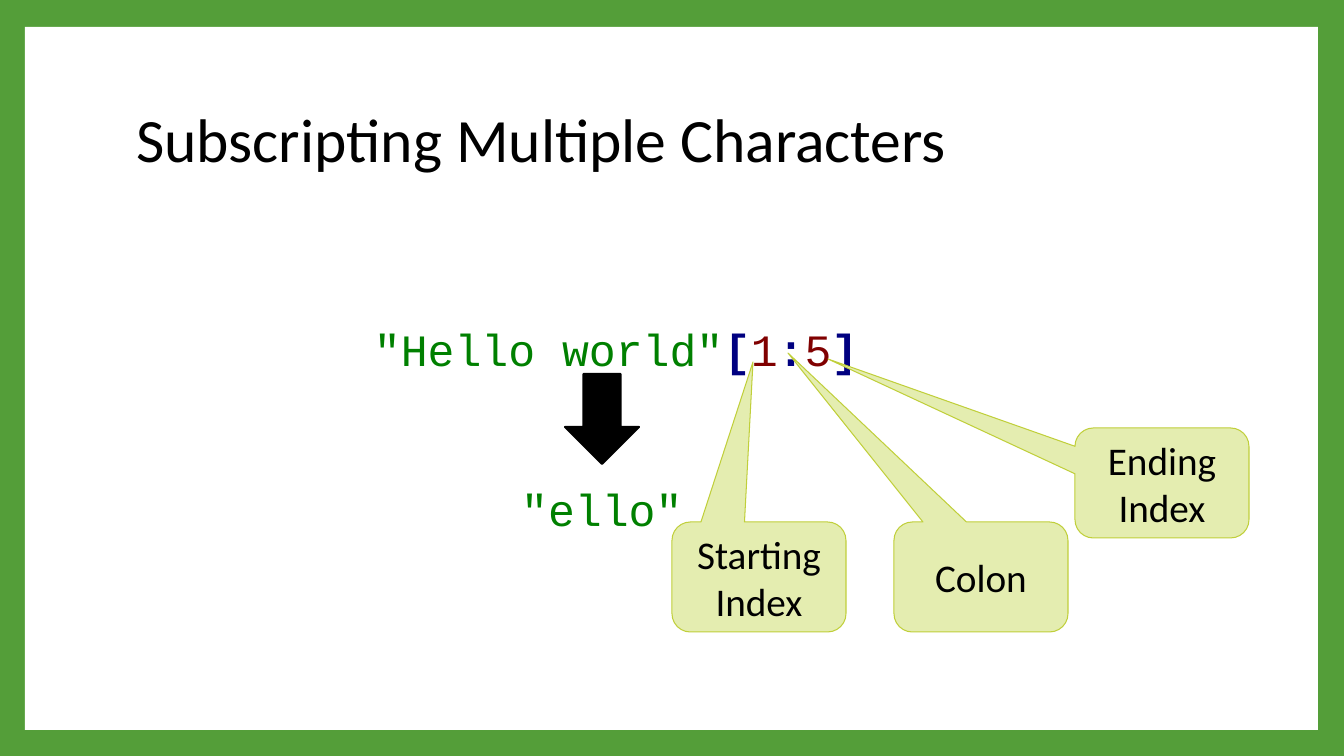
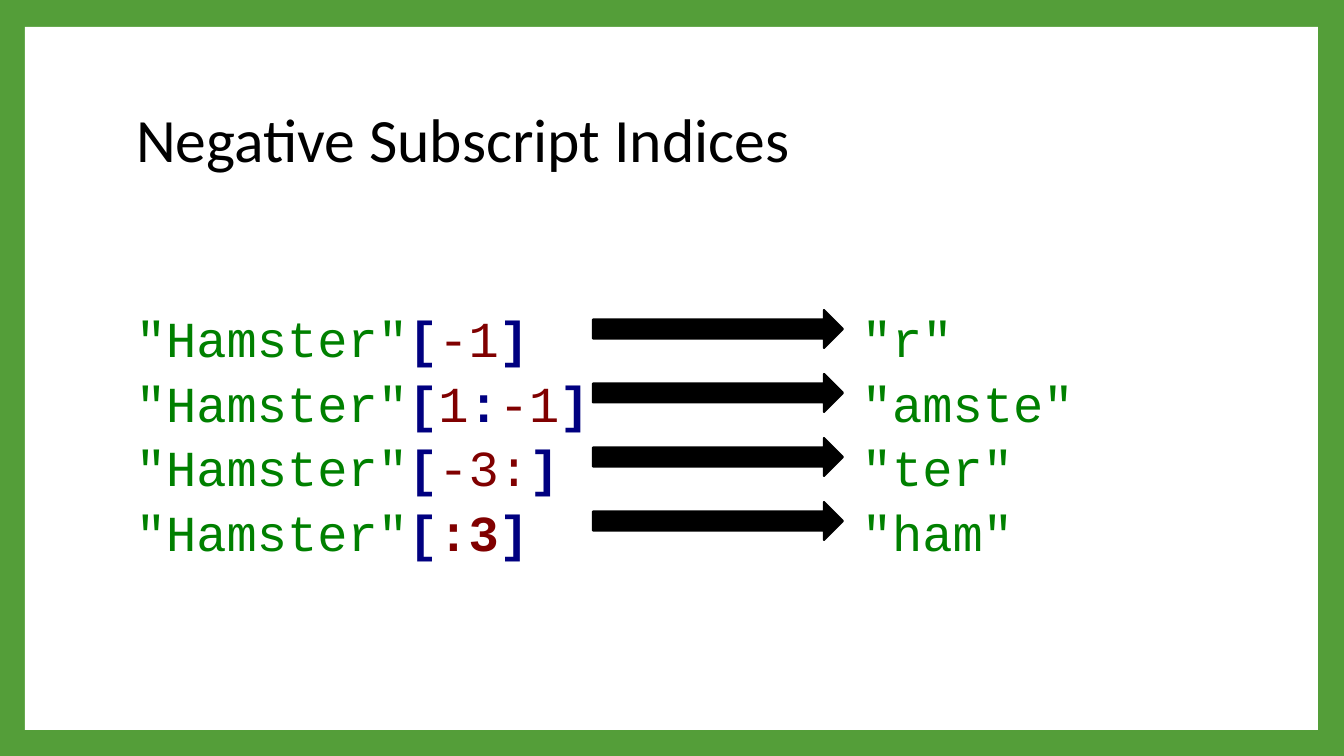
from lxml import etree
from pptx import Presentation
from pptx.dml.color import RGBColor
from pptx.enum.shapes import MSO_SHAPE as SHAPE
from pptx.enum.text import MSO_ANCHOR as ANCHOR, PP_ALIGN as ALIGN
from pptx.oxml.ns import qn
from pptx.util import Emu, Pt

EMU_PER_PX = 914400 / 100.8
COLORS = {
    "frame": "549E39",
    "panel": "FFFFFF",
    "ink": "000000",
    "callout": "E4EDB0",
    "callout_line": "C0CF3A",
    "string": "008000",
    "bracket": "000080",
    "index": "800000",
}
RGB = {name: RGBColor.from_string(value) for name, value in COLORS.items()}
TEXT_FONT, CODE_FONT = "Calibri", "Courier New"
RESULT_TAB = 726


def px(*lengths):
    """Turn pixel lengths into EMU."""
    return [Emu(round(n * EMU_PER_PX)) for n in lengths]


def add_code(slide, box, size, lines, align=ALIGN.LEFT, gap=0):
    """Add lines of code, each a list of (text, colour name, bold) runs."""
    frame = slide.shapes.add_textbox(*px(*box)).text_frame
    frame.word_wrap = True
    for number, line in enumerate(lines):
        row = frame.add_paragraph() if number else frame.paragraphs[0]
        tabs = etree.SubElement(row._p.get_or_add_pPr(), qn("a:tabLst"))
        etree.SubElement(tabs, qn("a:tab"), pos=str(px(RESULT_TAB)[0]), algn="l")
        row.alignment = align
        row.space_after = Pt(gap)
        for text, color, bold in line:
            run = row.add_run()
            run.text = text
            run.font.name, run.font.size, run.font.bold = CODE_FONT, Pt(size), bold
            run.font.color.rgb = RGB[color]


deck = Presentation()
deck.slide_width, deck.slide_height = px(1344, 756)
master = deck.slide_master
master.background.fill.solid()
master.background.fill.fore_color.rgb = RGB["frame"]

# Shared title style
slides = []
for heading in ("Subscripting Multiple Characters", "Negative Subscript Indices"):
    slide = deck.slides.add_slide(deck.slide_layouts[5])
    title = slide.shapes.title
    title.left, title.top, title.width, title.height = px(126, 68, 1089, 149)
    title.text_frame.text = heading
    title.text_frame.vertical_anchor = ANCHOR.MIDDLE
    line = title.text_frame.paragraphs[0]
    line.alignment, line.line_spacing = ALIGN.LEFT, 0.9
    line.font.name, line.font.size = TEXT_FONT, Pt(44)
    line.font.color.rgb = RGB["ink"]
    slides.append(slide)
multiple, negative = slides

# The white panel moves to the master, behind everything
panel = multiple.shapes.add_shape(SHAPE.RECTANGLE, *px(25, 27, 1293, 703))
panel.shadow.inherit = False
panel.fill.solid()
panel.fill.fore_color.rgb = RGB["panel"]
panel.line.fill.background()
master.shapes[0].element.addprevious(panel.element)

# Slide 1: one slice and its parts
add_code(multiple, (364, 317, 510, 60), 32, [[
    ('"Hello world"', "string", False), ("[", "bracket", True),
    ("1", "index", False), (":", "bracket", True),
    ("5", "index", False), ("]", "bracket", True),
]])
add_code(multiple, (502, 477, 200, 60), 32,
         [[('"ello"', "string", False)]], ALIGN.CENTER)

arrows = [multiple.shapes.add_shape(SHAPE.DOWN_ARROW, *px(565, 374, 74, 90))]

CALLOUT_W, CALLOUT_H = 174, 110
for label, left, top, tip_x, tip_y in (
    ("Starting Index", 672, 522, 753, 362),
    ("Ending Index", 1075, 428, 828, 359),
    ("Colon", 894, 522, 788, 353),
):
    callout = multiple.shapes.add_shape(
        SHAPE.ROUNDED_RECTANGULAR_CALLOUT, *px(left, top, CALLOUT_W, CALLOUT_H))
    callout.adjustments[0] = (tip_x - left) / CALLOUT_W - 0.5
    callout.adjustments[1] = (tip_y - top) / CALLOUT_H - 0.5
    callout.shadow.inherit = False
    callout.fill.solid()
    callout.fill.fore_color.rgb = RGB["callout"]
    callout.line.color.rgb = RGB["callout_line"]
    callout.line.width = Pt(0.75)
    callout.text_frame.text = label
    callout.text_frame.vertical_anchor = ANCHOR.MIDDLE
    line = callout.text_frame.paragraphs[0]
    line.alignment = ALIGN.CENTER
    line.font.name, line.font.size = TEXT_FONT, Pt(28)
    line.font.color.rgb = RGB["ink"]

# Slide 2: slices on the left, results on the right
slices = (
    ([("-1", "index", False)], '"r"'),
    ([("1", "index", False), (":", "bracket", True), ("-1", "index", False)], '"amste"'),
    ([("-3:", "index", False)], '"ter"'),
    ([(":3", "index", True)], '"ham"'),
)
rows = [
    [('"Hamster"', "string", False), ("[", "bracket", True), *subscript,
     ("]\t", "bracket", True), (result, "string", False)]
    for subscript, result in slices
]
add_code(negative, (126, 302, 999, 254), 36, rows, gap=3)
for number in range(len(slices)):
    arrows.append(negative.shapes.add_shape(
        SHAPE.RIGHT_ARROW, *px(593, 310 + 64 * number, 250, 38)))

for arrow in arrows:
    arrow.shadow.inherit = False
    arrow.fill.solid()
    arrow.fill.fore_color.rgb = RGB["ink"]
    arrow.line.color.rgb = RGB["ink"]
    arrow.line.width = Pt(1.5)

deck.save("out.pptx")
